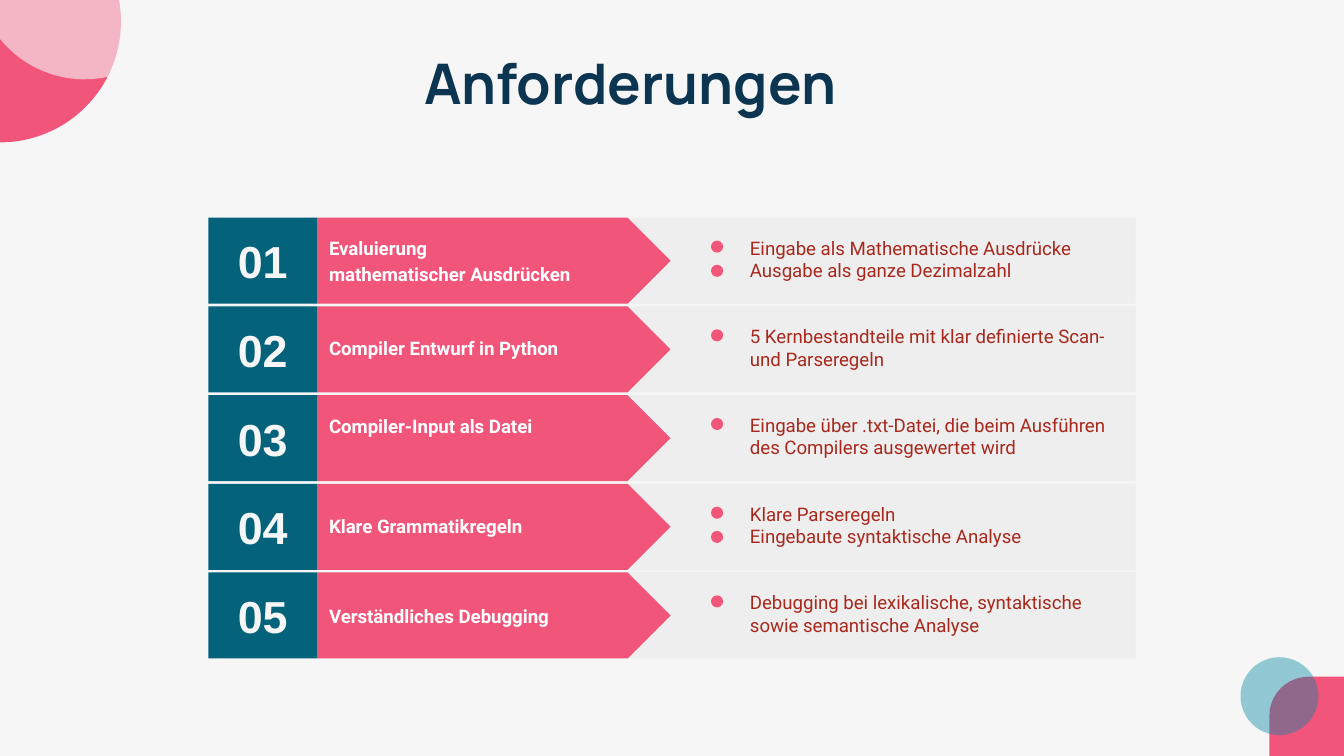
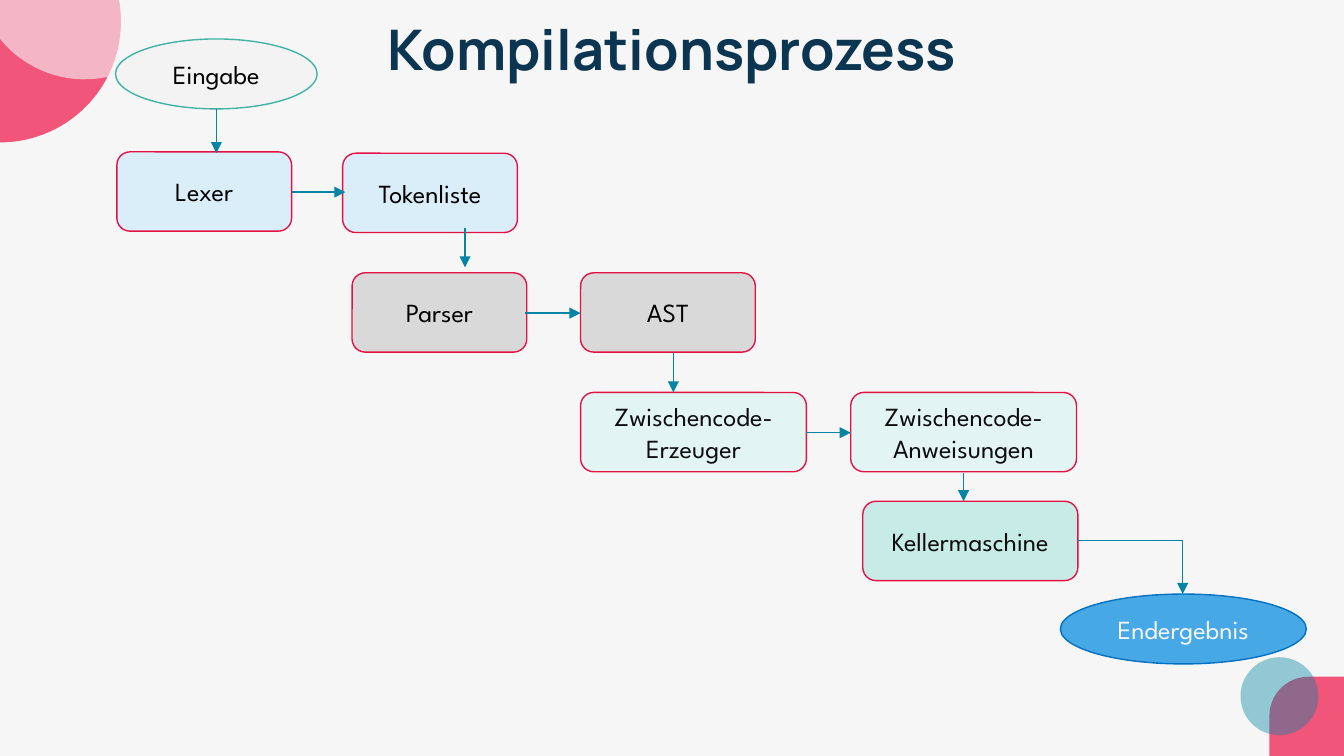
from lxml import etree
from pptx import Presentation
from pptx.dml.color import RGBColor
from pptx.enum.shapes import MSO_CONNECTOR, MSO_SHAPE
from pptx.enum.text import MSO_ANCHOR, PP_ALIGN
from pptx.oxml.ns import qn
from pptx.util import Inches, Pt

RECT = MSO_SHAPE.RECTANGLE
ROUNDED = MSO_SHAPE.ROUNDED_RECTANGLE
ONE_ROUND = MSO_SHAPE.ROUND_1_RECTANGLE
OVAL = MSO_SHAPE.OVAL
PENTAGON = MSO_SHAPE.PENTAGON
STRAIGHT = MSO_CONNECTOR.STRAIGHT
ELBOW = MSO_CONNECTOR.ELBOW
LEFT, CENTER = PP_ALIGN.LEFT, PP_ALIGN.CENTER
TOP, MIDDLE = MSO_ANCHOR.TOP, MSO_ANCHOR.MIDDLE

PAPER = "F6F6F6"
PINK = "F2557A"
TEAL = "0584A4"
DARK_TEAL = "04637B"
NAVY = "0B3550"
BAND = "EEEEEE"
BRICK = "A7291E"
WHITE = "FFFFFF"
BLACK = "000000"
INK = "0D0D0D"
CRIMSON = "E41143"
SKY = "DAEEFA"
GREY = "D9D9D9"
MINT = "E3F5F3"

ROW_TOP, ROW_PITCH, ROW_HEIGHT = 1.62, 0.66, 0.64
BOX_HEIGHT = 0.59
OVAL_HEIGHT = 0.52
EVEN_INSETS = (0.1,) * 4

# label lines, label offset in the row, points, width of the points
REQUIREMENTS = [
    (["Evaluierung", "mathematischer Ausdrücken"], 0.07,
     ["Eingabe als Mathematische Ausdrücke", "Ausgabe als ganze Dezimalzahl"], 2.72),
    (["Compiler Entwurf in Python"], 0.15,
     ["5 Kernbestandteile mit klar definierte Scan-\vund Parseregeln"], 3.02),
    (["Compiler-Input als Datei"], 0.07,
     ["Eingabe über .txt-Datei, die beim Ausführen des Compilers ausgewertet wird"], 3.02),
    (["Klare Grammatikregeln"], 0.16,
     ["Klare Parseregeln", "Eingebaute syntaktische Analyse"], 2.72),
    (["Verständliches Debugging"], 0.17,
     ["Debugging bei lexikalische, syntaktische\vsowie semantische Analyse"], 3.02),
]

# text, left, top, width, fill, text colour
STAGES = [
    ("Lexer", 0.87, 1.13, 1.3, SKY, BLACK),
    ("Tokenliste", 2.55, 1.14, 1.3, SKY, BLACK),
    ("Parser", 2.62, 2.03, 1.3, GREY, BLACK),
    ("AST", 4.32, 2.03, 1.3, GREY, BLACK),
    ("Zwischencode-Erzeuger", 4.32, 2.92, 1.68, MINT, INK),
    ("Zwischencode-Anweisungen", 6.33, 2.92, 1.68, MINT, INK),
    ("Kellermaschine", 6.42, 3.73, 1.6, "C7EBE7", INK),
]

# text, left, top, width, fill, outline, text colour
ENDPOINTS = [
    ("Eingabe", 0.86, 0.29, 1.5, "F3F3F3", "3FB3A6", BLACK),
    ("Endergebnis", 7.89, 4.42, 1.83, "47A8E6", "0070C0", PAPER),
]

STRAIGHT_ARROWS = [
    (1.61, 0.81, 1.61, 1.14),
    (2.17, 1.43, 2.57, 1.43),
    (3.46, 1.7, 3.46, 1.99),
    (3.91, 2.33, 4.32, 2.33),
    (5.01, 2.63, 5.01, 2.92),
    (6, 3.22, 6.33, 3.22),
    (7.17, 3.52, 7.17, 3.73),
]


def color(hex_value):
    """Turn a hex string into a colour."""
    return RGBColor.from_string(hex_value)


def add_block(slide, kind, left, top, width, height, fill, outline=None, opacity=None):
    """Add a flat preset shape."""
    block = slide.shapes.add_shape(
        kind, Inches(left), Inches(top), Inches(width), Inches(height))
    block.shadow.inherit = False
    block.fill.solid()
    block.fill.fore_color.rgb = color(fill)
    if opacity is not None:
        tint = block._element.spPr.find(".//" + qn("a:srgbClr"))
        etree.SubElement(tint, qn("a:alpha"), val=str(opacity * 1000))
    if outline:
        block.line.color.rgb = color(outline)
        block.line.width = Pt(0.75)
    else:
        block.line.fill.background()
    return block


def write(holder, lines, font, size, ink, bold=False, align=LEFT, anchor=TOP,
          spacing=None, insets=(0.1, 0.05, 0.1, 0.05)):
    """Fill a shape or text box with one paragraph per line."""
    frame = holder.text_frame
    frame.word_wrap = True
    frame.vertical_anchor = anchor
    (frame.margin_left, frame.margin_top,
     frame.margin_right, frame.margin_bottom) = [Inches(inset) for inset in insets]
    frame.text = "\n".join(lines)
    for paragraph in frame.paragraphs:
        paragraph.alignment = align
        if spacing:
            paragraph.line_spacing = spacing
        paragraph.font.name = font
        paragraph.font.size = Pt(size)
        paragraph.font.bold = bold
        paragraph.font.color.rgb = color(ink)


def add_text(slide, left, top, width, height, lines, font, size, ink, **style):
    """Add a text box."""
    holder = slide.shapes.add_textbox(
        Inches(left), Inches(top), Inches(width), Inches(height))
    write(holder, lines, font, size, ink, **style)


def add_arrow(slide, x1, y1, x2, y2, kind=STRAIGHT):
    """Add a connector with a triangular head at its end."""
    arrow = slide.shapes.add_connector(
        kind, Inches(x1), Inches(y1), Inches(x2), Inches(y2))
    arrow.line.color.rgb = color(TEAL)
    arrow.line.width = Pt(0.75)
    properties = arrow._element.spPr
    etree.SubElement(properties.find(qn("a:ln")), qn("a:tailEnd"), type="triangle")
    etree.SubElement(properties, qn("a:effectLst"))
    if kind == ELBOW:
        properties.find(qn("a:prstGeom")).set("prst", "bentConnector2")


def add_themed_slide(deck, title, left, top):
    """Add a slide with the shared background, corner ornaments and title."""
    slide = deck.slides.add_slide(deck.slide_layouts[6])
    slide.background.fill.solid()
    slide.background.fill.fore_color.rgb = color(PAPER)
    add_block(slide, OVAL, -0.9, -0.74, 1.8, 1.8, PINK)
    corner = add_block(slide, ONE_ROUND, 9.44, 5.04, 0.59, 0.58, PINK)
    corner.adjustments[0] = 0.5
    corner.rotation = 270
    add_block(slide, OVAL, 9.23, 4.89, 0.58, 0.58, TEAL, opacity=41)
    veil = add_block(slide, ROUNDED, -0.18, -4.18, 1.62, 4.77, PAPER, opacity=60)
    veil.adjustments[0] = 0.5
    add_text(slide, left, top, 5.5, 0.63, [title], "Manrope", 30, NAVY, bold=True,
             align=CENTER, insets=EVEN_INSETS)
    return slide


def add_requirement(slide, index, label, label_offset, points, points_width):
    """Add one numbered row with its label arrow and dotted points."""
    top = ROW_TOP + index * ROW_PITCH
    add_block(slide, RECT, 1.55, top, 6.9, ROW_HEIGHT, BAND)
    number = add_block(slide, RECT, 1.55, top, 0.81, ROW_HEIGHT, DARK_TEAL)
    write(number, [f"{index + 1:02}"], "Arial", 24, PAPER, bold=True,
          align=CENTER, anchor=MIDDLE)
    add_block(slide, PENTAGON, 2.36, top, 2.63, ROW_HEIGHT, PINK)
    add_text(slide, 5.38, top + 0.09, points_width, 0.43, points, "Roboto", 10, BRICK,
             insets=(0.2, 0.05, 0.1, 0.05))
    add_text(slide, 2.35, top + label_offset, 2.8, 0.09 + 0.19 * len(label), label,
             "Roboto", 10, WHITE, bold=True, spacing=1.15)
    for position in range(len(points)):
        add_block(slide, OVAL, 5.29, top + 0.17 + 0.18 * position, 0.09, 0.09, PINK)


def add_step(slide, kind, text, left, top, width, height, fill, outline, ink):
    """Add one labelled step of the process."""
    step = add_block(slide, kind, left, top, width, height, fill, outline)
    write(step, [text], "League Spartan", 14, ink, align=CENTER, anchor=MIDDLE,
          insets=EVEN_INSETS)


def build_requirements(deck):
    """Build the slide with the list of requirements."""
    slide = add_themed_slide(deck, "Anforderungen", 1.94, 0.26)
    for index, requirement in enumerate(REQUIREMENTS):
        add_requirement(slide, index, *requirement)


def build_process(deck):
    """Build the slide with the compilation flow."""
    slide = add_themed_slide(deck, "Kompilationsprozess", 2.25, 0.01)
    for text, left, top, width, fill, ink in STAGES:
        add_step(slide, ROUNDED, text, left, top, width, BOX_HEIGHT, fill, CRIMSON, ink)
    for text, left, top, width, fill, outline, ink in ENDPOINTS:
        add_step(slide, OVAL, text, left, top, width, OVAL_HEIGHT, fill, outline, ink)
    for ends in STRAIGHT_ARROWS:
        add_arrow(slide, *ends)
    add_arrow(slide, 8.02, 4.02, 8.8, 4.42, ELBOW)


def main():
    """Build and save the presentation."""
    deck = Presentation()
    deck.slide_width = Inches(10)
    deck.slide_height = deck.slide_width * 9 // 16
    build_requirements(deck)
    build_process(deck)
    deck.save("out.pptx")


if __name__ == "__main__":
    main()
